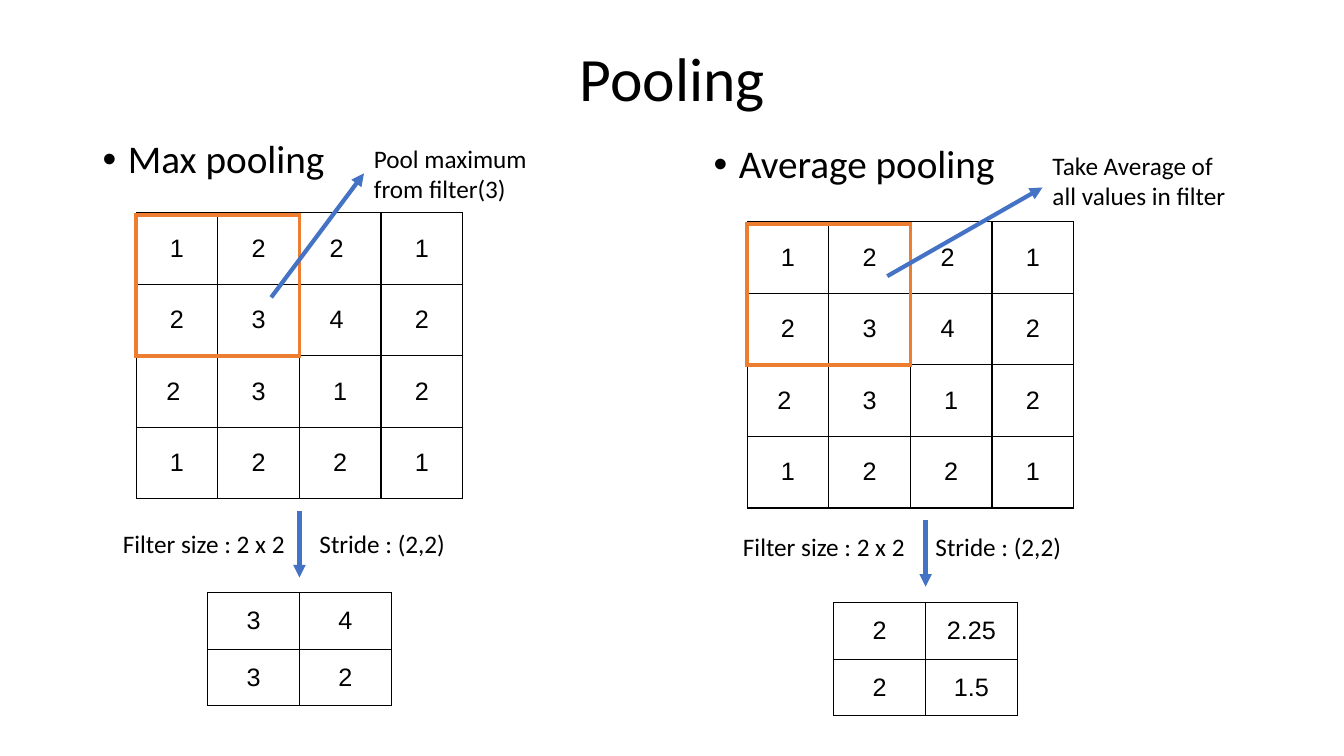
"""Build a slide comparing max pooling with average pooling."""
from dataclasses import dataclass

from lxml.etree import SubElement
from pptx import Presentation
from pptx.dml.color import RGBColor
from pptx.enum.shapes import MSO_CONNECTOR
from pptx.enum.text import MSO_ANCHOR, PP_ALIGN
from pptx.oxml import parse_xml
from pptx.oxml.ns import nsdecls, qn
from pptx.util import Inches, Pt


@dataclass(frozen=True)
class Theme:
    text: str = "000000"
    arrow: str = "4472C4"
    filter: str = "ED7D31"
    heading_font: str = "Calibri"
    number_font: str = "Arial"
    title_size: int = 44
    heading_size: int = 28
    body_size: int = 18
    thin: int = 1
    thick: int = 3


THEME = Theme()


def write(paragraph, text, size, font=THEME.heading_font):
    """Add one formatted run to a paragraph."""
    run = paragraph.add_run()
    run.text = text
    run.font.name = font
    run.font.size = Pt(size)
    run.font.bold = False
    run.font.color.rgb = RGBColor.from_string(THEME.text)


def add_grid(slide, left, top, rows, cell_width, cell_height, color, line_width):
    """Add an unfilled table of centred values with uniform borders."""
    columns = len(rows[0])
    table = slide.shapes.add_table(
        len(rows), columns, Inches(left), Inches(top),
        Inches(cell_width * columns), Inches(cell_height * len(rows))).table
    table.first_row = False
    table.horz_banding = False
    for column in table.columns:
        column.width = Inches(cell_width)
    for row_index, values in enumerate(rows):
        table.rows[row_index].height = Inches(cell_height)
        for column_index, value in enumerate(values):
            cell = table.cell(row_index, column_index)
            cell.vertical_anchor = MSO_ANCHOR.MIDDLE
            properties = cell._tc.get_or_add_tcPr()
            for side in ("lnL", "lnR", "lnT", "lnB"):
                properties.append(parse_xml(
                    f'<a:{side} {nsdecls("a")} w="{Pt(line_width)}"><a:solidFill>'
                    f'<a:srgbClr val="{color}"/></a:solidFill></a:{side}>'))
            cell.fill.background()
            if value:
                paragraph = cell.text_frame.paragraphs[0]
                paragraph.alignment = PP_ALIGN.CENTER
                write(paragraph, value, THEME.body_size, THEME.number_font)


INPUT_VALUES = [
    ["1", "2", "2 ", "1"],
    ["2", "3", "4 ", "2"],
    ["2 ", "3", "1", "2"],
    ["1", "2", "2", "1"],
]

PANELS = [
    {
        "heading": ("Max pooling", 0.92, 1.34),
        "input": (1.35, 2.11),
        "output": (2.06, 5.88, [["3", "4"], ["3", "2"]]),
        "labels": [
            ("Filter size : 2 x 2", 1.12, 5.19, 0.4),
            ("Stride : (2,2)", 3.07, 5.19, 0.4),
            ("Pool maximum from filter(3)", 3.61, 1.37, 0.71),
        ],
        "arrows": [(2.97, 5.07, 2.97, 5.73), (2.69, 2.95, 3.61, 1.72)],
    },
    {
        "heading": ("Average pooling", 6.98, 1.39),
        "input": (7.41, 2.2),
        "output": (8.27, 5.98, [["2", "2.25"], ["2", "1.5"]]),
        "labels": [
            ("Filter size : 2 x 2", 7.27, 5.22, 0.4),
            ("Stride : (2,2)", 9.18, 5.22, 0.4),
            ("Take Average of all values in filter", 10.34, 1.44, 0.71),
        ],
        "arrows": [(9.18, 5.16, 9.18, 5.82), (8.8, 2.74, 10.34, 1.86)],
    },
]

presentation = Presentation()
presentation.slide_width = Inches(13.33)
presentation.slide_height = Inches(7.5)
slide = presentation.slides.add_slide(presentation.slide_layouts[5])

title = slide.shapes.title
title.left, title.top = Inches(0.92), Inches(0.4)
title.width, title.height = Inches(11.5), Inches(0.81)
title.text_frame.vertical_anchor = MSO_ANCHOR.MIDDLE
title_paragraph = title.text_frame.paragraphs[0]
title_paragraph.alignment = PP_ALIGN.CENTER
title_paragraph.line_spacing = 0.9
write(title_paragraph, "Pooling", THEME.title_size)

for panel in PANELS:
    text, left, top = panel["heading"]
    heading = slide.shapes.add_textbox(
        Inches(left), Inches(top), Inches(5.18), Inches(5.42))
    heading.text_frame.word_wrap = True
    paragraph = heading.text_frame.paragraphs[0]
    paragraph.line_spacing = 0.9
    properties = paragraph._p.get_or_add_pPr()
    properties.set("marL", str(Inches(0.25)))
    properties.set("indent", str(Inches(-0.25)))
    SubElement(properties, qn("a:buFont"), typeface=THEME.number_font)
    SubElement(properties, qn("a:buChar"), char="•")
    write(paragraph, text, THEME.heading_size)

    left, top = panel["input"]
    add_grid(slide, left, top, INPUT_VALUES, 0.81, 0.71, THEME.text, THEME.thin)
    add_grid(slide, left, top + 0.02, [[""]], 1.62, 1.4, THEME.filter, THEME.thick)
    left, top, values = panel["output"]
    add_grid(slide, left, top, values, 0.91, 0.56, THEME.text, THEME.thin)

    for text, left, top, height in panel["labels"]:
        label = slide.shapes.add_textbox(
            Inches(left), Inches(top), Inches(1.95), Inches(height))
        label.text_frame.word_wrap = True
        write(label.text_frame.paragraphs[0], text, THEME.body_size)

    for ends in panel["arrows"]:
        arrow = slide.shapes.add_connector(
            MSO_CONNECTOR.STRAIGHT, *[Inches(end) for end in ends])
        arrow.line.color.rgb = RGBColor.from_string(THEME.arrow)
        arrow.line.width = Pt(THEME.thick)
        SubElement(arrow.line._get_or_add_ln(), qn("a:tailEnd"), type="triangle")
        SubElement(arrow._element.spPr, qn("a:effectLst"))

presentation.save("out.pptx")
